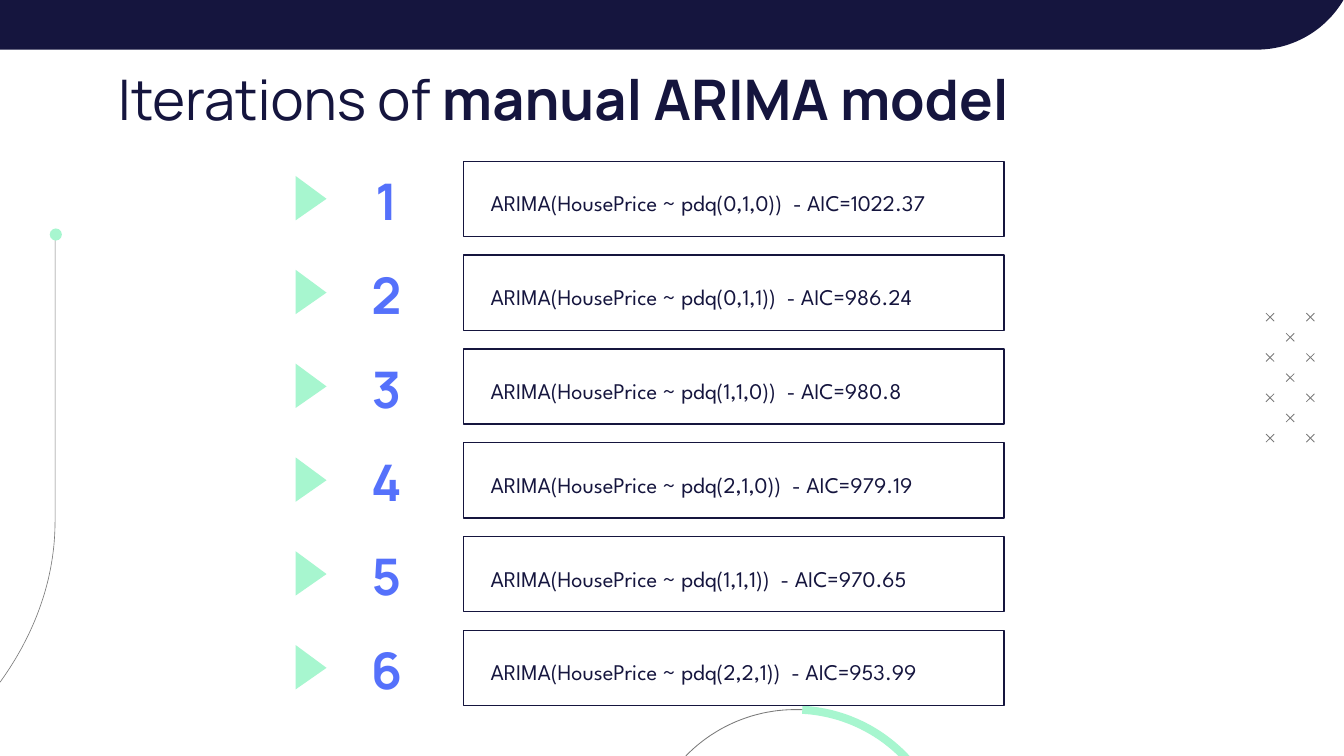
import math

from lxml import etree
from pptx import Presentation
from pptx.dml.color import RGBColor
from pptx.enum.shapes import MSO_CONNECTOR, MSO_SHAPE
from pptx.enum.text import MSO_ANCHOR, PP_ALIGN
from pptx.oxml.ns import qn
from pptx.util import Inches, Pt

STRAIGHT = MSO_CONNECTOR.STRAIGHT
RECTANGLE, OVAL = MSO_SHAPE.RECTANGLE, MSO_SHAPE.OVAL
TOP, MIDDLE = MSO_ANCHOR.TOP, MSO_ANCHOR.MIDDLE
LEFT, CENTER = PP_ALIGN.LEFT, PP_ALIGN.CENTER

NAVY = RGBColor(0x15, 0x15, 0x3E)
BLUE = RGBColor(0x55, 0x71, 0xFB)
MINT = RGBColor(0xA7, 0xF6, 0xCF)
GRAY = RGBColor(0x7A, 0x7A, 0x7A)
HEADING_FONT, BODY_FONT = "Manrope", "League Spartan"

SLIDE_W = 10
SLIDE_H = SLIDE_W * 9 / 16
FIRST_ROW, LAST_ROW, ROW_H = 1.2, 4.69, 0.56
ITERATIONS = [
    "ARIMA(HousePrice ~ pdq(0,1,0))  - AIC=1022.37",
    "ARIMA(HousePrice ~ pdq(0,1,1))  - AIC=986.24",
    "ARIMA(HousePrice ~ pdq(1,1,0))  - AIC=980.8",
    "ARIMA(HousePrice ~ pdq(2,1,0))  - AIC=979.19",
    "ARIMA(HousePrice ~ pdq(1,1,1))  - AIC=970.65",
    "ARIMA(HousePrice ~ pdq(2,2,1))  - AIC=953.99",
]


def arc(cx, cy, rx, ry, start, end, steps=32):
    """Points on an ellipse; degrees run clockwise from the right."""
    angles = [math.radians(start + (end - start) * i / steps) for i in range(steps + 1)]
    return [(cx + rx * math.cos(a), cy + ry * math.sin(a)) for a in angles]


def style_shape(shape, fill=None, line=None, width=0.75):
    shape.shadow.inherit = False
    if fill is None:
        shape.fill.background()
    else:
        shape.fill.solid()
        shape.fill.fore_color.rgb = fill
    if line is None:
        shape.line.fill.background()
    else:
        shape.line.color.rgb = line
        shape.line.width = Pt(width)


def add_outline(slide, points, fill=None, line=None, width=0.75):
    """Draw a closed area when filled, otherwise an open curve."""
    corners = [(Inches(x), Inches(y)) for x, y in points]
    builder = slide.shapes.build_freeform(*corners[0])
    builder.add_line_segments(corners[1:], close=fill is not None)
    style_shape(builder.convert_to_shape(), fill, line, width)


def add_stroke(slide, x1, y1, x2, y2):
    stroke = slide.shapes.add_connector(
        STRAIGHT, Inches(x1), Inches(y1), Inches(x2), Inches(y2))
    stroke.line.color.rgb = GRAY
    stroke.line.width = Pt(0.44)
    etree.SubElement(stroke._element.spPr, qn("a:effectLst"))


def add_cross(slide, x, y, size=0.06):
    add_stroke(slide, x, y, x + size, y + size)
    add_stroke(slide, x + size, y, x, y + size)


def set_text(shape, runs, size, font, color, inset=(0.1, 0.1), anchor=TOP, align=LEFT):
    """Fill one paragraph with (text, bold) runs; inset is left, top."""
    frame = shape.text_frame
    frame.word_wrap = True
    frame.vertical_anchor = anchor
    frame.margin_left, frame.margin_top = Inches(inset[0]), Inches(inset[1])
    frame.margin_right = frame.margin_bottom = Inches(0.1)
    paragraph = frame.paragraphs[0]
    paragraph.alignment = align
    for text, bold in runs:
        run = paragraph.add_run()
        run.text = text
        run.font.size = Pt(size)
        run.font.name = font
        run.font.bold = bold
        run.font.color.rgb = color
    return paragraph


def add_text(slide, left, top, width, height, runs, size, color, **layout):
    box = slide.shapes.add_textbox(
        Inches(left), Inches(top), Inches(width), Inches(height))
    set_text(box, runs, size, HEADING_FONT, color, **layout)


def add_decoration(slide):
    for row in range(4):
        for x in (9.42, 9.72):
            add_cross(slide, x, 2.33 + 0.3 * row)
    for row in range(3):
        add_cross(slide, 9.57, 2.48 + 0.3 * row)

    add_outline(slide, arc(5.92, 6.42, 1.14, 1.14, -87, -135.8), line=GRAY, width=0.44)
    ring_outer = arc(5.91, 6.42, 1.17, 1.17, -87, -42.8)
    ring_inner = arc(5.91, 6.42, 1.11, 1.11, -45.8, -87)
    add_outline(slide, ring_outer + ring_inner, fill=MINT)

    stem = [(0.41, 1.75)] + arc(-3.76, 3.88, 4.17, 2.77, 0, 25.6)
    add_outline(slide, stem, line=GRAY, width=0.35)
    dot = slide.shapes.add_shape(
        OVAL, Inches(0.37), Inches(1.7), Inches(0.09), Inches(0.09))
    style_shape(dot, fill=MINT)

    banner = [(0, 0), (0, 0.37)] + arc(9.35, -0.38, 0.75, 0.75, 90, 30.5) + [(SLIDE_W, 0)]
    add_outline(slide, banner, fill=NAVY)


def add_iteration(slide, number, formula, top):
    add_outline(slide, [(2.2, top + 0.11), (2.43, top + 0.28), (2.2, top + 0.44)], fill=MINT)
    add_text(slide, 2.42, top, 0.91, ROW_H, [(str(number), True)], 27, BLUE,
             inset=(0.1, 0.12), anchor=MIDDLE, align=CENTER)
    card = slide.shapes.add_shape(
        RECTANGLE, Inches(3.45), Inches(top), Inches(4.02), Inches(ROW_H))
    style_shape(card, line=NAVY)
    paragraph = set_text(card, [(formula, False)], 12, BODY_FONT, NAVY, inset=(0.2, 0.18))
    paragraph.line_spacing = 1.15
    paragraph.space_after = Pt(12)


def main():
    prs = Presentation()
    prs.slide_width, prs.slide_height = Inches(SLIDE_W), Inches(SLIDE_H)
    slide = prs.slides.add_slide(prs.slide_layouts[6])
    add_decoration(slide)
    add_text(slide, 0.78, 0.38, 8.44, 0.63,
             [("Iterations of ", False), ("manual ARIMA model", True)], 30, NAVY)
    pitch = (LAST_ROW - FIRST_ROW) / (len(ITERATIONS) - 1)
    for index, formula in enumerate(ITERATIONS):
        add_iteration(slide, index + 1, formula, FIRST_ROW + index * pitch)
    prs.save("out.pptx")


if __name__ == "__main__":
    main()
